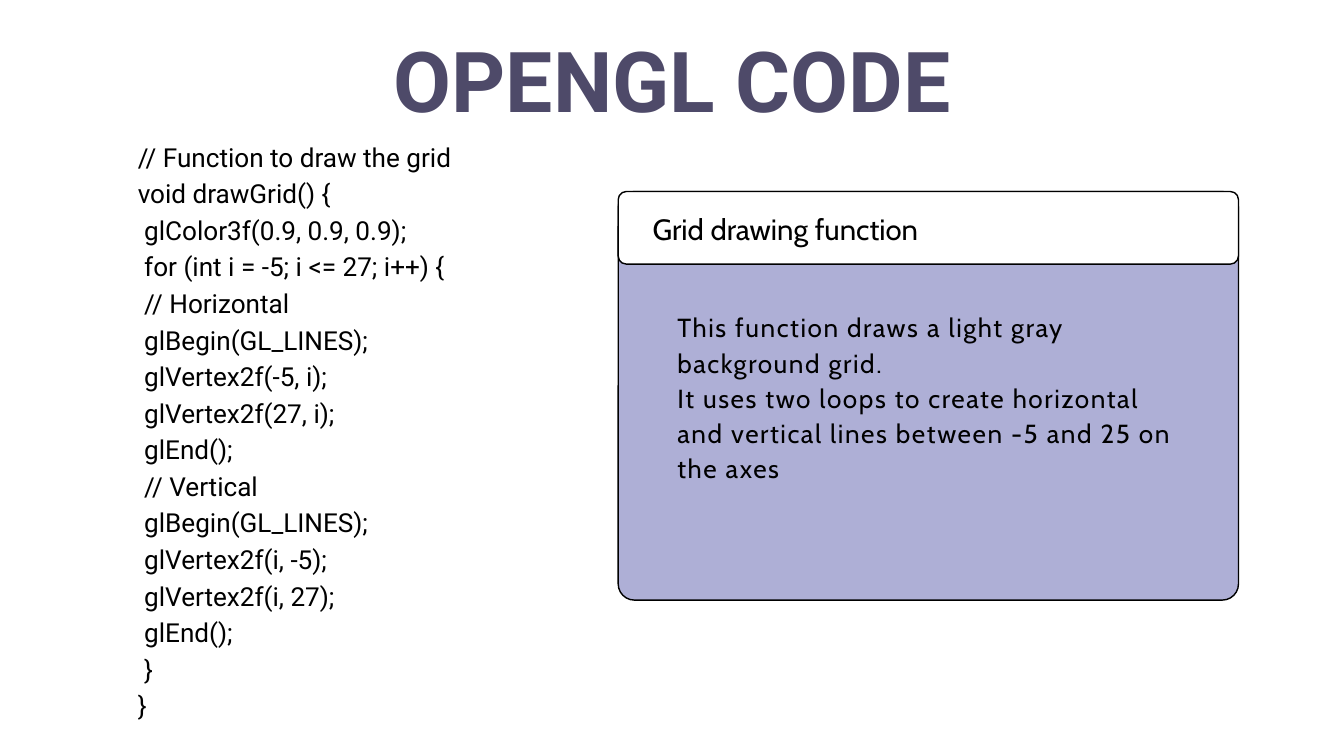
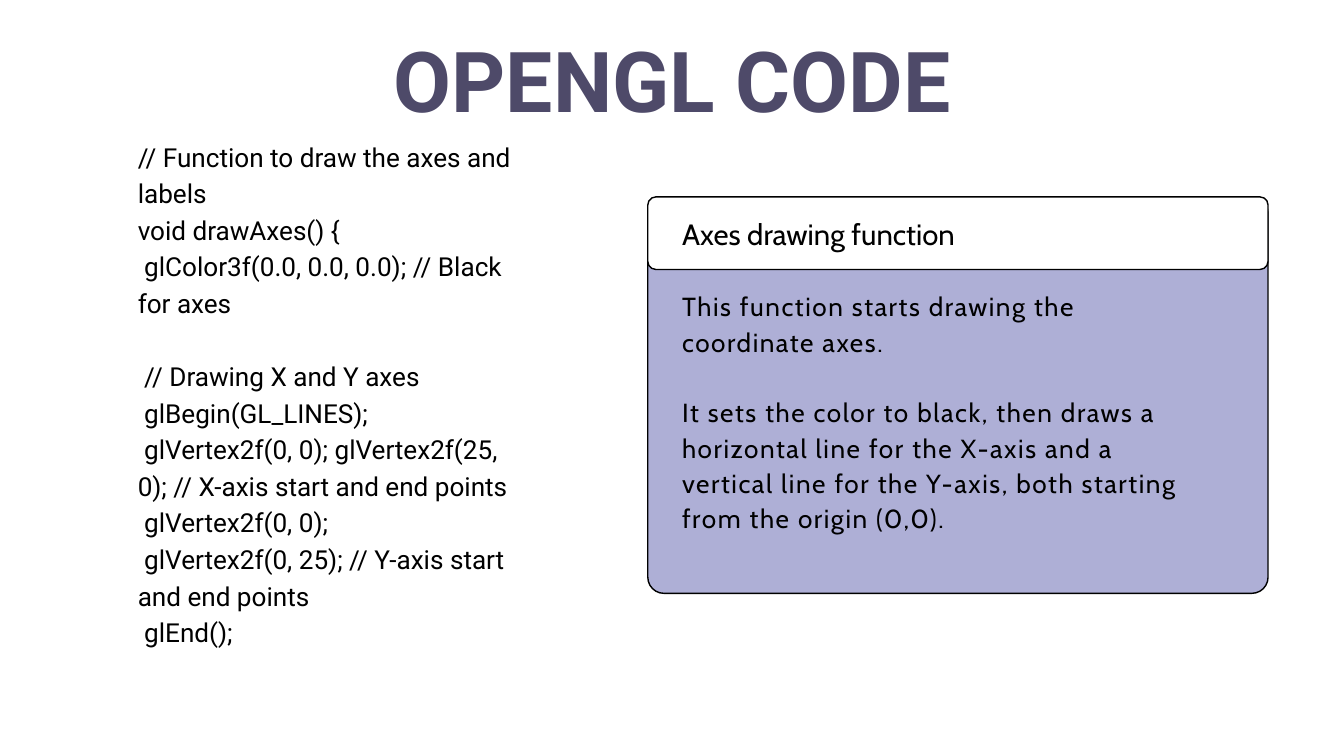
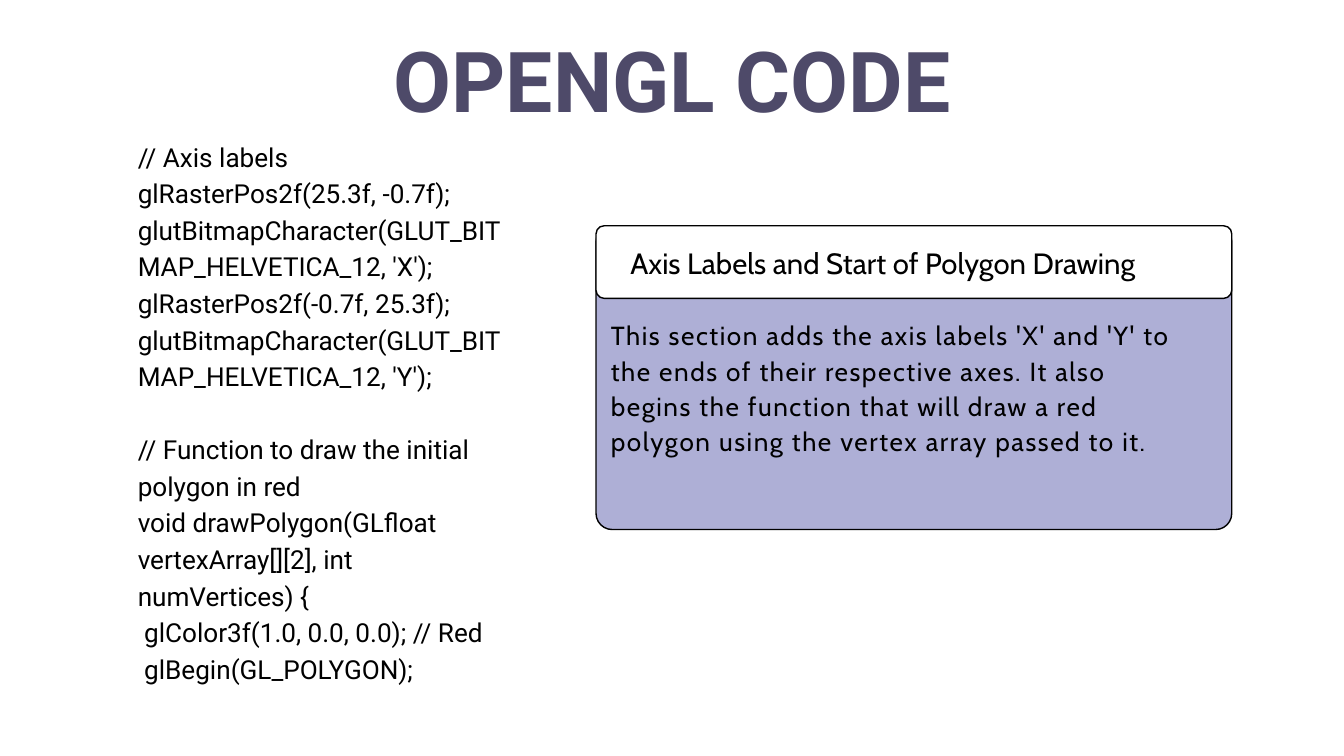
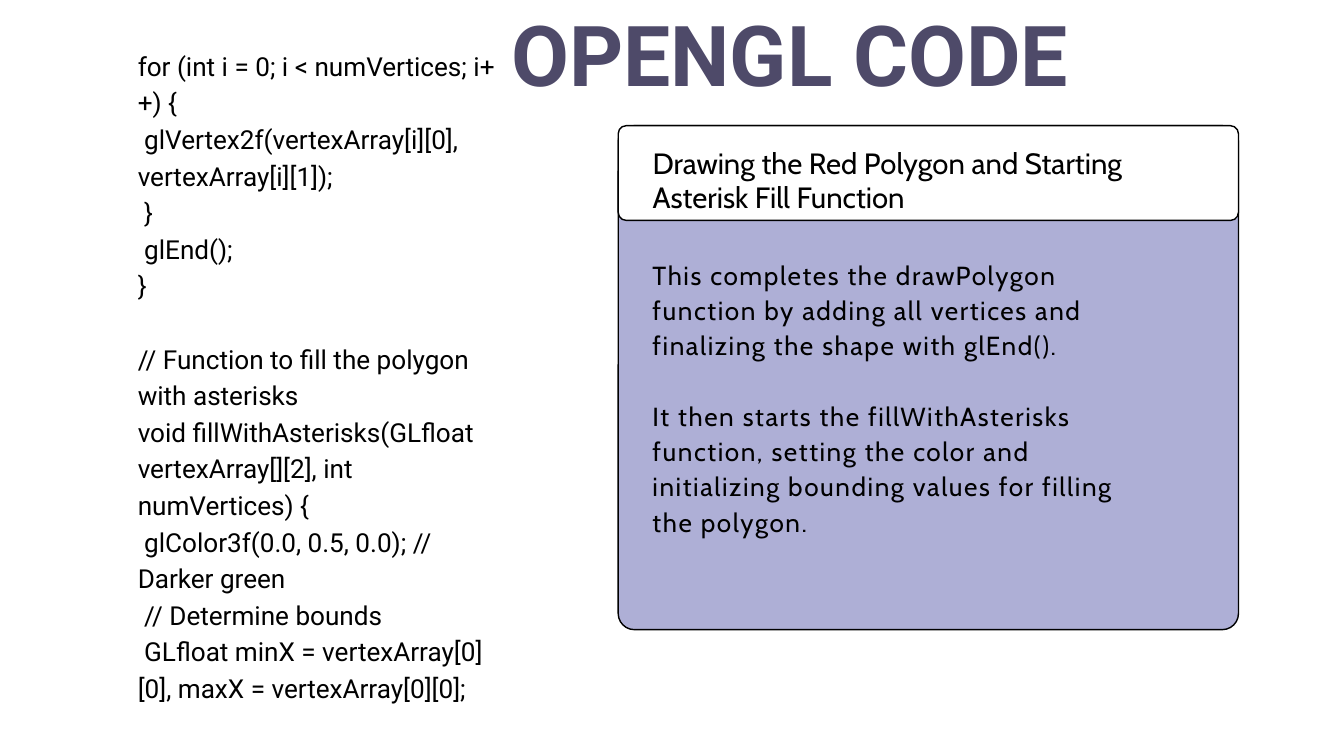
import dataclasses

import pptx
import pptx.dml.color
import pptx.enum.shapes
import pptx.enum.text
import pptx.util

Inches = pptx.util.Inches
Pt = pptx.util.Pt
ALIGN = pptx.enum.text.PP_ALIGN


@dataclasses.dataclass(frozen=True)
class Style:
    """Type size, line pitch and letter spacing in points."""
    font: str
    size: float
    pitch: float
    color: str = "000000"
    bold: bool = False
    space: float = 0
    align: object = ALIGN.LEFT


class Theme:
    title = Style("Roboto", 90, 126, "4E4A69", bold=True, align=ALIGN.CENTER)
    code = Style("Roboto", 28, 39.2)
    head = Style("Cabin", 31.4, 36.7)
    note = Style("Cabin", 28, 37.8, space=1.7)
    panel = "AEAFD6"
    white = "FFFFFF"
    edge = "000000"
    stroke = 1.5


@dataclasses.dataclass(frozen=True)
class Page:
    code: list
    code_box: tuple
    card_box: tuple
    head: str
    note: list
    note_box: tuple  # left and top are relative to the card
    head_high: float = 1.08
    title_at: tuple = (4.85, 0.17)


PAGES = [
    Page(
        code=[
            "// Function to draw the grid",
            "void drawGrid() {",
            " glColor3f(0.9, 0.9, 0.9);",
            " for (int i = -5; i <= 27; i++) {",
            " // Horizontal",
            " glBegin(GL_LINES);",
            " glVertex2f(-5, i);",
            " glVertex2f(27, i);",
            " glEnd();",
            " // Vertical",
            " glBegin(GL_LINES);",
            " glVertex2f(i, -5);",
            " glVertex2f(i, 27);",
            " glEnd();",
            " }",
            "}",
        ],
        code_box=(2.05, 2.02, 5.59, 9.21),
        card_box=(9.2, 2.85, 9.23, 6.08),
        head="Grid drawing function",
        note=[
            "This function draws a light gray background grid.",
            "It uses two loops to create horizontal and vertical lines "
            "between -5 and 25 on the axes",
        ],
        note_box=(0.88, 1.73, 7.56, 2.58),
    ),
    Page(
        code=[
            "// Function to draw the axes and labels",
            "void drawAxes() {",
            " glColor3f(0.0, 0.0, 0.0); // Black for axes",
            "",
            " // Drawing X and Y axes",
            " glBegin(GL_LINES);",
            " glVertex2f(0, 0); glVertex2f(25, 0); // X-axis start and end points",
            " glVertex2f(0, 0);",
            " glVertex2f(0, 25); // Y-axis start and end points",
            " glEnd();",
        ],
        code_box=(2.05, 2.02, 5.59, 8.13),
        card_box=(9.64, 2.93, 9.23, 5.9),
        head="Axes drawing function",
        note=[
            "This function starts drawing the coordinate axes.",
            "",
            "It sets the color to black, then draws a horizontal line for the "
            "X-axis and a vertical line for the Y-axis, both starting from "
            "the origin (0,0).",
        ],
        note_box=(0.51, 1.34, 7.56, 3.62),
    ),
    Page(
        code=[
            "// Axis labels",
            "glRasterPos2f(25.3f, -0.7f); "
            "glutBitmapCharacter(GLUT_BITMAP_HELVETICA_12, 'X');",
            "glRasterPos2f(-0.7f, 25.3f);",
            "glutBitmapCharacter(GLUT_BITMAP_HELVETICA_12, 'Y');",
            "",
            "// Function to draw the initial polygon in red",
            "void drawPolygon(GLfloat vertexArray[][2], int numVertices) {",
            " glColor3f(1.0, 0.0, 0.0); // Red",
            " glBegin(GL_POLYGON);",
        ],
        code_box=(2.05, 2.02, 5.59, 8.67),
        card_box=(8.87, 3.36, 9.46, 4.52),
        head="Axis Labels and Start of Polygon Drawing",
        note=[
            "This section adds the axis labels 'X' and 'Y' to the ends of "
            "their respective axes. It also begins the function that will "
            "draw a red polygon using the vertex array passed to it.",
        ],
        note_box=(0.22, 1.34, 8.51, 2.58),
    ),
    Page(
        code=[
            "for (int i = 0; i < numVertices; i++) {",
            " glVertex2f(vertexArray[i][0], vertexArray[i][1]);",
            " }",
            " glEnd();",
            "}",
            "",
            "// Function to fill the polygon with asterisks",
            "void fillWithAsterisks(GLfloat vertexArray[][2], int numVertices) {",
            " glColor3f(0.0, 0.5, 0.0); // Darker green",
            " // Determine bounds",
            " GLfloat minX = vertexArray[0][0], maxX = vertexArray[0][0];",
        ],
        code_box=(2.05, 0.67, 5.59, 10.3),
        card_box=(9.2, 1.87, 9.23, 7.5),
        head="Drawing the Red Polygon and Starting Asterisk Fill Function",
        note=[
            "This completes the drawPolygon function by adding all vertices "
            "and finalizing the shape with glEnd().",
            "",
            "It then starts the fillWithAsterisks function, setting the color "
            "and initializing bounding values for filling the polygon.",
        ],
        note_box=(0.51, 1.93, 7.56, 4.14),
        head_high=1.41,
        title_at=(6.6, -0.21),
    ),
]


def rgb(color):
    return pptx.dml.color.RGBColor.from_string(color)


def add_text(shapes, box, lines, style):
    """Write one paragraph per line; an empty line becomes space before the next."""
    frame = shapes.add_textbox(*map(Inches, box)).text_frame
    frame.word_wrap = True
    frame.auto_size = pptx.enum.text.MSO_AUTO_SIZE.SHAPE_TO_FIT_TEXT
    frame.margin_left = frame.margin_right = 0
    frame.margin_top = frame.margin_bottom = 0
    for index, line in enumerate(lines):
        if not line:
            continue
        para = frame.add_paragraph() if index else frame.paragraphs[0]
        para.alignment = style.align
        para.line_spacing = Pt(style.pitch)
        if index and not lines[index - 1]:
            para.space_before = Pt(style.pitch)
        run = para.add_run()
        run.text = line
        run.font.name = style.font
        run.font.size = Pt(style.size)
        run.font.bold = style.bold
        run.font.color.rgb = rgb(style.color)
        if style.space:
            run.font._element.set("spc", str(round(style.space * 100)))


def add_panel(shapes, box, fill, radius):
    kind = pptx.enum.shapes.MSO_SHAPE.ROUNDED_RECTANGLE
    panel = shapes.add_shape(kind, *map(Inches, box))
    panel.adjustments[0] = radius / min(box[2:])
    panel.shadow.inherit = False
    panel.fill.solid()
    panel.fill.fore_color.rgb = rgb(fill)
    panel.line.color.rgb = rgb(Theme.edge)
    panel.line.width = Pt(Theme.stroke)


def add_card(slide, page):
    """Grouped panel with a white heading band and a note below it."""
    left, top, width, high = page.card_box
    shapes = slide.shapes.add_group_shape().shapes
    add_panel(shapes, page.card_box, Theme.panel, 0.24)
    add_panel(shapes, (left, top, width, page.head_high), Theme.white, 0.12)
    head_box = (left + 0.51, top + 0.3, 8.31, page.head_high - 0.5)
    add_text(shapes, head_box, [page.head], Theme.head)
    x, y, *size = page.note_box
    add_text(shapes, (left + x, top + y, *size), page.note, Theme.note)


def add_page(deck, page):
    slide = deck.slides.add_slide(deck.slide_layouts[6])
    # Code listing on the left
    add_text(slide.shapes, page.code_box, page.code, Theme.code)
    # Card on the right
    add_card(slide, page)
    # Title
    add_text(slide.shapes, (*page.title_at, 10.31, 1.71), ["OPENGL CODE"], Theme.title)


def main():
    deck = pptx.Presentation()
    deck.slide_width, deck.slide_height = Inches(20), Inches(11.25)
    for page in PAGES:
        add_page(deck, page)
    deck.save("out.pptx")


if __name__ == "__main__":
    main()
